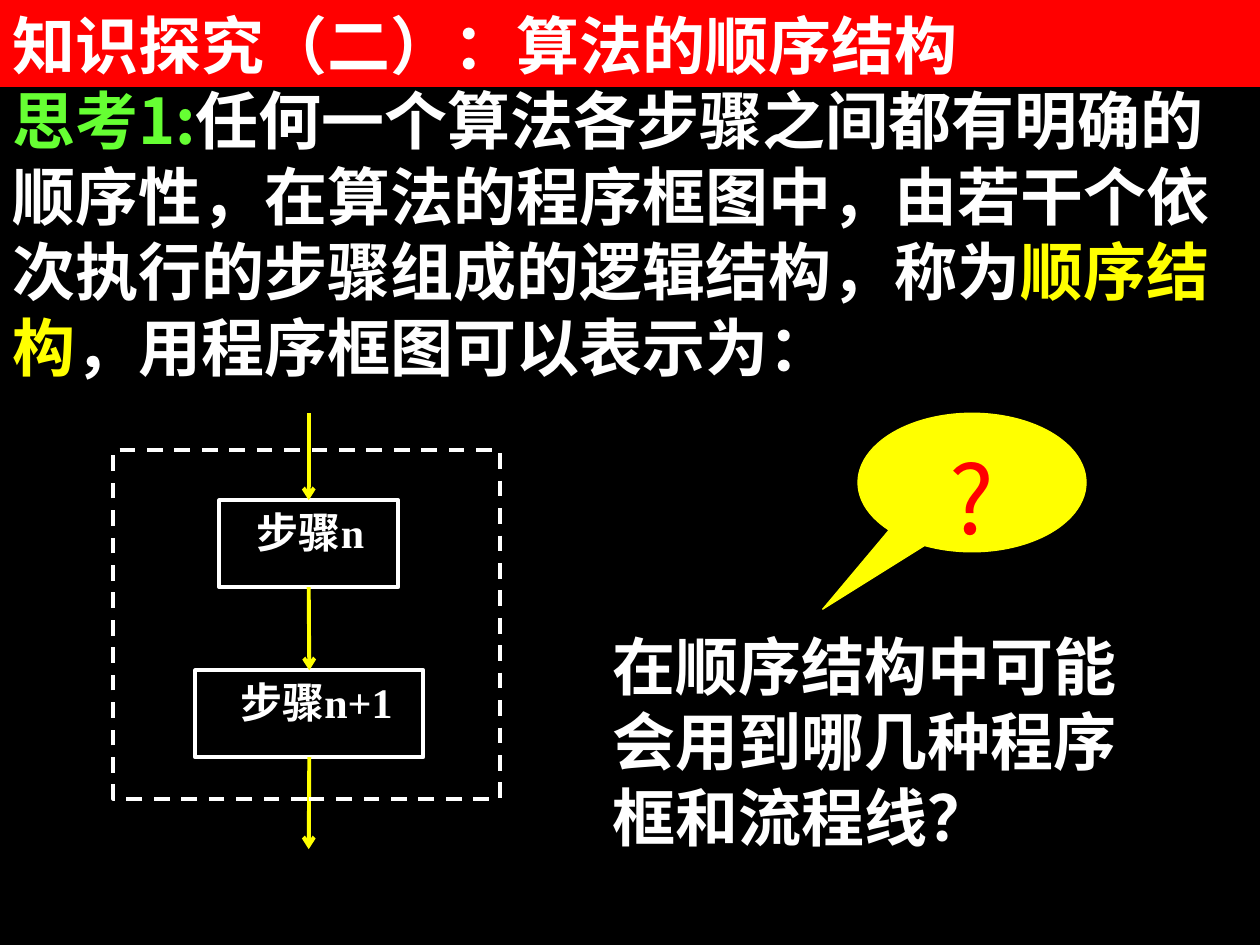
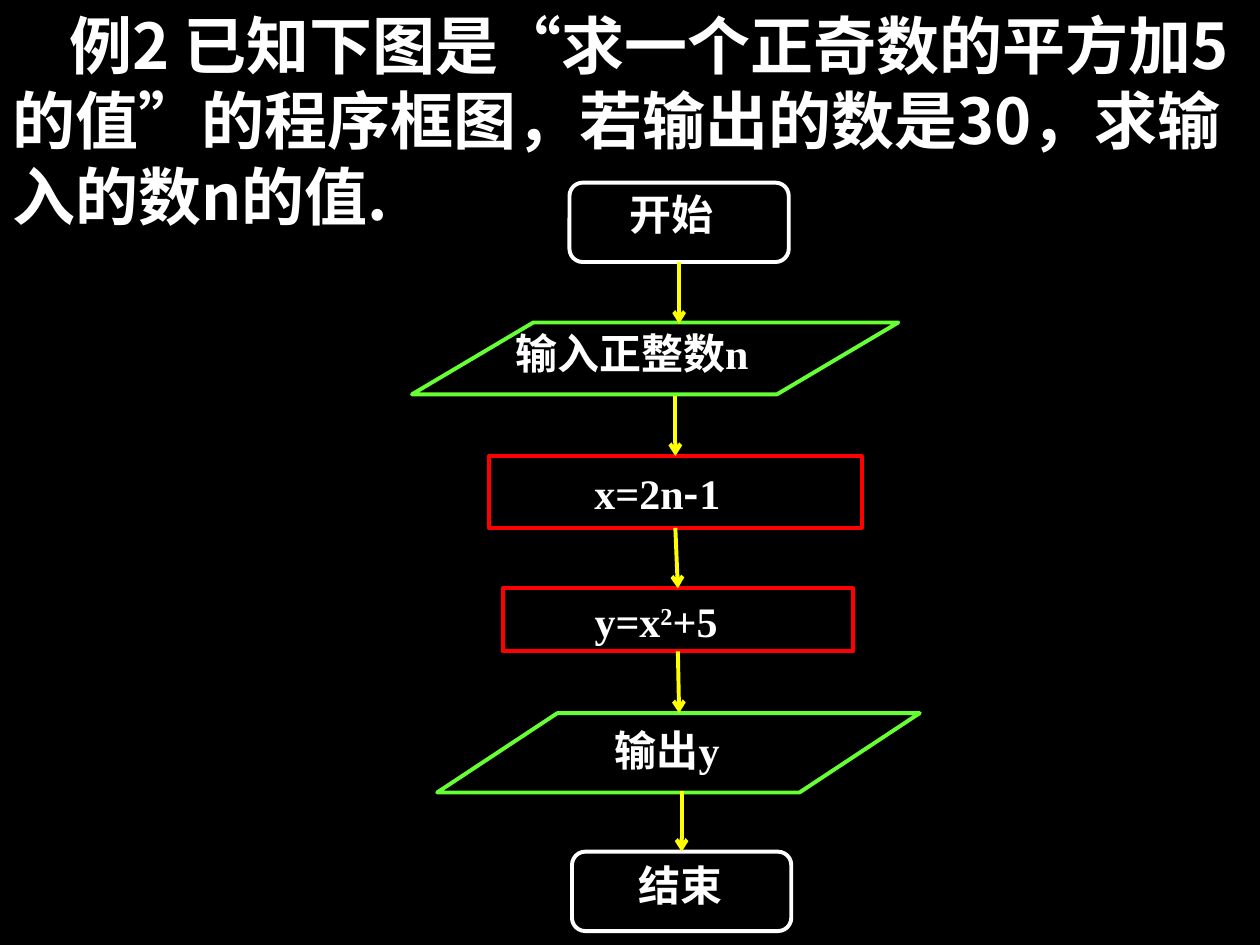
"""Build two slides on the sequential structure of algorithms."""
import pptx
import pptx.dml.color
import pptx.enum.dml
import pptx.enum.shapes
import pptx.enum.text
import pptx.oxml.ns
import pptx.util
from lxml import etree

Inches = pptx.util.Inches
Shape = pptx.enum.shapes.MSO_SHAPE
Align = pptx.enum.text.PP_ALIGN

COLORS = {
    "black": "000000",
    "white": "FFFFFF",
    "red": "FF0000",
    "green": "66FF33",
    "yellow": "FFFF00",
}
CJK, SANS, SERIF = "Noto Sans CJK SC", "Arial", "Times New Roman"
TITLE_ONLY = 5
LINE_WIDTH = 2.25


def color(name):
    """Return the named colour."""
    return pptx.dml.color.RGBColor.from_string(COLORS[name])


def add_element(parent, tag, **attributes):
    """Append a DrawingML element to a parent."""
    return etree.SubElement(parent, pptx.oxml.ns.qn(tag), **attributes)


class SlideBuilder:
    """Hold the shared style and draw on the current slide."""

    def __init__(self):
        """Start an empty deck."""
        self.deck = pptx.Presentation()
        self.deck.slide_width, self.deck.slide_height = Inches(10), Inches(7.5)
        self.page = None

    def new_page(self):
        """Add a black slide with a title placeholder."""
        self.page = self.deck.slides.add_slide(self.deck.slide_layouts[TITLE_ONLY])
        self.page.background.fill.solid()
        self.page.background.fill.fore_color.rgb = color("black")

    def fill_text(self, box, spans, size, font=CJK, bold=True, align=Align.LEFT, indent=0):
        """Fill a box with one paragraph of (text, options) spans."""
        frame = box.text_frame
        frame.word_wrap = True
        frame.auto_size = pptx.enum.text.MSO_AUTO_SIZE.NONE
        frame.vertical_anchor = pptx.enum.text.MSO_ANCHOR.TOP
        para = frame.paragraphs[0]
        para.alignment = align
        para.line_spacing = pptx.util.Pt(1.2 * size)
        if indent:
            properties = para._p.get_or_add_pPr()
            properties.set("marL", "0")
            properties.set("indent", str(Inches(indent)))
        for text, options in spans:
            span = para.add_run()
            span.text = text
            span.font.size = pptx.util.Pt(size)
            span.font.bold = bold
            span.font.name = options.get("font", font)
            span.font.color.rgb = color(options.get("color", "white"))
            add_element(span._r.get_or_add_rPr(), "a:ea", typeface=CJK)
            if "raised" in options:
                span._r.get_or_add_rPr().set("baseline", str(options["raised"] * 1000))

    def title(self, area, text, font=CJK, band=None, indent=0):
        """Place and format the title, with an optional coloured band."""
        box = self.page.shapes.title
        box.left, box.top, box.width, box.height = map(Inches, area)
        if band:
            box.fill.solid()
            box.fill.fore_color.rgb = color(band)
        self.fill_text(box, [(text, {})], 36, font, indent=indent)

    def text(self, area, spans, size=36, font=CJK, align=Align.LEFT):
        """Add a text box."""
        box = self.page.shapes.add_textbox(*map(Inches, area))
        self.fill_text(box, spans, size, font, align=align)

    def label(self, area, *spans):
        """Add the caption of a flowchart step."""
        self.text(area, spans, 24, SERIF, Align.JUSTIFY)

    def outline(self, kind, area, line, fill=None, width=LINE_WIDTH, adjust=(), dashed=False):
        """Add a preset shape, unfilled unless a fill is named."""
        shape = self.page.shapes.add_shape(kind, *map(Inches, area))
        shape.shadow.inherit = False
        if fill:
            shape.fill.solid()
            shape.fill.fore_color.rgb = color(fill)
        else:
            shape.fill.background()
        shape.line.color.rgb = color(line)
        shape.line.width = pptx.util.Pt(width)
        if dashed:
            shape.line.dash_style = pptx.enum.dml.MSO_LINE.DASH
        for index, value in enumerate(adjust):
            shape.adjustments[index] = value
        return shape

    def arrow(self, start, end):
        """Draw a flow line; each end is a point or a box to join."""
        points = [(0, 0) if hasattr(place, "shape_id") else place for place in (start, end)]
        link = self.page.shapes.add_connector(
            pptx.enum.shapes.MSO_CONNECTOR.STRAIGHT,
            *(Inches(value) for point in points for value in point))
        if hasattr(start, "shape_id"):
            link.begin_connect(start, 2)
        if hasattr(end, "shape_id"):
            link.end_connect(end, 0)
        link.line.color.rgb = color("yellow")
        link.line.width = pptx.util.Pt(LINE_WIDTH)
        add_element(link.line._get_or_add_ln(), "a:tailEnd", type="arrow")
        add_element(link._element.spPr, "a:effectLst")


def sequence_slide(builder):
    """Introduce the sequential structure."""
    builder.new_page()
    builder.title((0, 0, 10, 0.69), "知识探究（二）：算法的顺序结构", SANS, band="red")
    builder.text((0, 0.6, 10, 2.5), [
        ("思考1:", {"color": "green"}),
        ("任何一个算法各步骤之间都有明确的顺序性，在算法的程序框图中，"
         "由若干个依次执行的步骤组成的逻辑结构，称为", {}),
        ("顺序结构", {"color": "yellow"}),
        ("，用程序框图可以表示为：", {}),
    ])

    step = builder.outline(Shape.RECTANGLE, (1.74, 3.97, 1.42, 0.69), "white")
    builder.label((1.94, 3.97, 1.21, 0.69), ("步骤n", {}))
    next_step = builder.outline(Shape.RECTANGLE, (1.55, 5.32, 1.81, 0.69), "white")
    builder.label((1.81, 5.32, 1.55, 0.69), ("步骤n+1", {}))
    builder.arrow((2.45, 3.28), step)
    builder.arrow(step, next_step)
    builder.arrow(next_step, (2.45, 6.74))
    builder.outline(Shape.RECTANGLE, (0.9, 3.57, 3.07, 2.77), "white", dashed=True)

    builder.text((4.76, 4.93, 4.53, 1.9),
                 [("在顺序结构中可能会用到哪几种程序框和流程线？", {})], font=SANS)
    callout = builder.outline(Shape.OVAL_CALLOUT, (6.81, 3.28, 1.81, 1.1), "yellow",
                              fill="yellow", width=0.75, adjust=(-0.655, 0.914))
    builder.fill_text(callout, [("?", {"color": "red"})], 54, bold=False, align=Align.CENTER)


def example_slide(builder):
    """Show the flowchart of the worked example."""
    builder.new_page()
    builder.title((0, 0, 10, 1.9),
                  "例2 已知下图是“求一个正奇数的平方加5的值”的程序框图，"
                  "若输出的数是30，求输入的数n的值.", indent=0.45)

    start = builder.outline(Shape.ROUNDED_RECTANGLE, (4.52, 1.45, 1.74, 0.63), "white")
    builder.outline(Shape.PARALLELOGRAM, (3.27, 2.56, 3.86, 0.57), "green", adjust=[1.689])
    odd_number = builder.outline(Shape.RECTANGLE, (3.88, 3.62, 2.96, 0.57), "red")
    square = builder.outline(Shape.RECTANGLE, (3.99, 4.67, 2.78, 0.5), "red")
    builder.outline(Shape.PARALLELOGRAM, (3.47, 5.66, 3.83, 0.63), "green", adjust=[1.515])
    finish = builder.outline(Shape.ROUNDED_RECTANGLE, (4.54, 6.76, 1.74, 0.63), "white")

    builder.label((4.9, 1.45, 1.3, 0.63), ("开始", {}))
    builder.label((3.99, 2.55, 2.68, 0.63), ("输入正整数n", {}))
    builder.label((4.62, 3.66, 1.73, 0.63), ("x=2n", {}), ("-", {"font": CJK}), ("1", {}))
    builder.label((4.62, 4.68, 1.89, 0.63), ("y=x", {}), ("2", {"raised": 30}), ("+5", {}))
    builder.label((4.78, 5.7, 1.71, 0.63), ("输出y", {}))
    builder.label((4.97, 6.77, 1.18, 0.63), ("结束", {}))

    builder.arrow(start, (5.39, 2.57))
    builder.arrow((5.36, 3.14), odd_number)
    builder.arrow(odd_number, square)
    builder.arrow(square, (5.39, 5.66))
    builder.arrow((5.41, 6.28), finish)


def main():
    """Build and save the deck."""
    builder = SlideBuilder()
    sequence_slide(builder)
    example_slide(builder)
    builder.deck.save("out.pptx")


if __name__ == "__main__":
    main()
